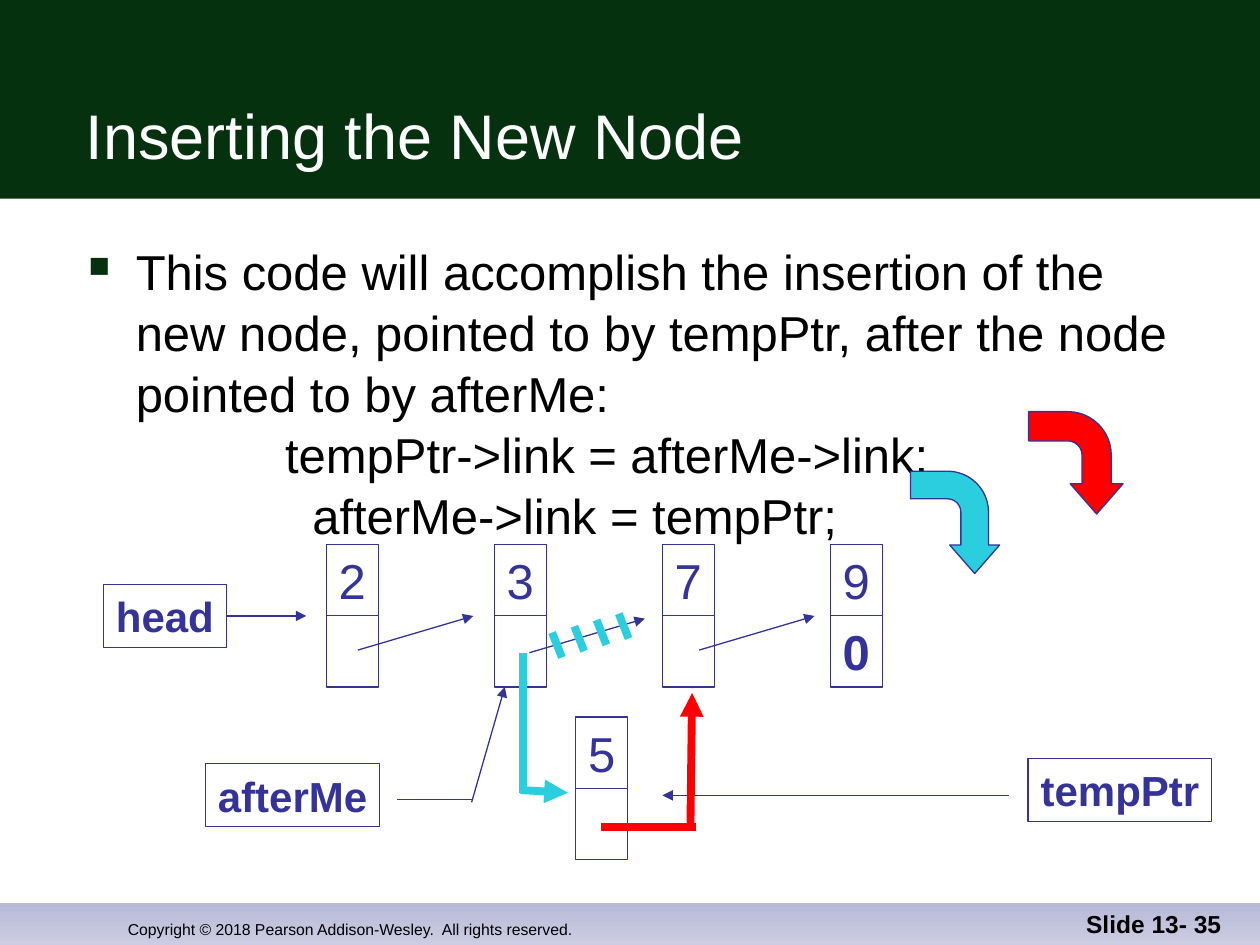
from lxml import etree
from pptx import Presentation
from pptx.dml.color import RGBColor
from pptx.enum.shapes import MSO_CONNECTOR, MSO_SHAPE
from pptx.enum.text import MSO_ANCHOR, PP_ALIGN
from pptx.oxml.ns import qn
from pptx.util import Pt

RECT, BENT_ARROW = MSO_SHAPE.RECTANGLE, MSO_SHAPE.BENT_ARROW
STRAIGHT = MSO_CONNECTOR.STRAIGHT
TOP, MIDDLE, BOTTOM = MSO_ANCHOR.TOP, MSO_ANCHOR.MIDDLE, MSO_ANCHOR.BOTTOM
LEFT, CENTER, RIGHT = PP_ALIGN.LEFT, PP_ALIGN.CENTER, PP_ALIGN.RIGHT

COLORS = {
    name: RGBColor.from_string(value)
    for name, value in {
        "banner": "05310F", "footer_top": "B7B9D7", "footer_bottom": "CCCDE3",
        "ink": "333399", "red": "FF0000", "cyan": "2BCEDF",
        "white": "FFFFFF", "black": "000000",
    }.items()
}

prs = Presentation()
prs.slide_width, prs.slide_height = Pt(720), Pt(540)
slide = prs.slides.add_slide(prs.slide_layouts[6])
shapes = slide.shapes


def put_text(shape, text, size, color, bold=False, align=LEFT, anchor=MIDDLE, wrap=True):
    frame = shape.text_frame
    frame.word_wrap = wrap
    frame.vertical_anchor = anchor
    paragraph = frame.paragraphs[0]
    paragraph.text = text
    paragraph.alignment = align
    font = paragraph.font
    font.name, font.size, font.bold = "Arial", Pt(size), bold
    font.color.rgb = COLORS[color]
    return paragraph


def draw_line(x1, y1, x2, y2, color="ink", width=0.75, arrow=False):
    line = shapes.add_connector(STRAIGHT, Pt(x1), Pt(y1), Pt(x2), Pt(y2))
    line.line.color.rgb = COLORS[color]
    line.line.width = Pt(width)
    if arrow:
        etree.SubElement(line.line._get_or_add_ln(), qn("a:tailEnd"), type="triangle")
    etree.SubElement(line._element.spPr, qn("a:effectLst"))
    return line


# Footer strip and title banner
footer = shapes.add_shape(RECT, 0, Pt(516), Pt(720), Pt(24))
footer.fill.gradient()
footer.fill.gradient_angle = 270
for stop, name in zip(footer.fill.gradient_stops, ("footer_top", "footer_bottom")):
    stop.color.rgb = COLORS[name]
banner = shapes.add_shape(RECT, 0, 0, Pt(720), Pt(113.5))
banner.fill.solid()
banner.fill.fore_color.rgb = COLORS["banner"]
for strip in (footer, banner):
    strip.line.fill.background()
    strip.shadow.inherit = False

copyright_box = shapes.add_textbox(Pt(66), Pt(504), Pt(354), Pt(36))
put_text(copyright_box, "Copyright © 2018 Pearson Addison-Wesley.  All rights reserved.",
         9, "black", anchor=BOTTOM)
number_box = shapes.add_textbox(Pt(555), Pt(504), Pt(150), Pt(36))
put_text(number_box, "Slide 13- 35", 14, "black", bold=True, align=RIGHT, anchor=BOTTOM)
title = shapes.add_textbox(Pt(42), Pt(24), Pt(654), Pt(78))
put_text(title, "Inserting the New Node", 36, "white", anchor=BOTTOM)

# Explanation with the two statements
body = shapes.add_textbox(Pt(43.5), Pt(133), Pt(653), Pt(360))
body.text_frame.margin_right = 0
explanation = put_text(
    body,
    "This code will accomplish the insertion of the\n"
    "new node, pointed to by tempPtr, after the node\n"
    "pointed to by afterMe:\n"
    "           tempPtr->link = afterMe->link;\n"
    "             afterMe->link = tempPtr;",
    28, "black", anchor=TOP)
explanation.line_spacing = 1.04
props = explanation._p.get_or_add_pPr()
props.set("marL", str(Pt(27)))
props.set("indent", str(Pt(-27)))
bullet_color = etree.Element(qn("a:buClr"))
etree.SubElement(bullet_color, qn("a:srgbClr"), val=str(COLORS["banner"]))
bullet_size = etree.Element(qn("a:buSzPct"), val="60000")
bullet_char = etree.Element(qn("a:buChar"), char="■")
first_after = props.find(qn("a:defRPr"))
for element in (bullet_color, bullet_size, bullet_char):
    first_after.addprevious(element)

# Boxes: pointer labels, then nodes with a data cell above a link cell
CELL_W, CELL_H = 29.7, 40.8
boxes = [
    ("head", 59, 334, 70.5, 36, 24, True),
    ("afterMe", 117.5, 436.5, 99.5, 36, 24, True),
    ("tempPtr", 587.5, 433.5, 105, 36, 24, True),
]
nodes = [(data, 186.5 + 96 * i, 311) for i, data in enumerate("2379")]
nodes.append(("5", 329, 409.7))
for data, x, y in nodes:
    link = "0" if data == "9" else ""
    boxes.append((data, x, y, CELL_W, CELL_H, 28, False))
    boxes.append((link, x, y + CELL_H, CELL_W, CELL_H, 28, True))

drawn = {}
for text, x, y, width, height, size, bold in boxes:
    box = shapes.add_shape(RECT, Pt(x), Pt(y), Pt(width), Pt(height))
    box.fill.background()
    box.line.color.rgb = COLORS["ink"]
    box.line.width = Pt(0.75)
    box.shadow.inherit = False
    if text:
        put_text(box, text, size, "ink", bold=bold, align=CENTER, wrap=False)
    drawn[text] = box

# Links between the nodes and arrows from the labels
for x, y in ((204.5, 371.5), (302.5, 373), (399.5, 371.5)):
    draw_line(x, y, x + 66, y - 19.5, arrow=True)
draw_line(227, 457, 269.5, 457)
draw_line(269.5, 458.5, 288.5, 392.5, arrow=True)
draw_line(576.5, 454.5, 378.5, 454.5, arrow=True)
head_arrow = draw_line(129.5, 352, 175, 352, arrow=True)
head_arrow.begin_connect(drawn["head"], 3)

# Bent arrows matching each statement to its new link
for color, x, y, width, height in (
    ("red", 585.5, 237.5, 58.5, 54),
    ("cyan", 516.5, 273, 58.5, 51),
):
    bend = shapes.add_shape(BENT_ARROW, Pt(x), Pt(y), Pt(width), Pt(height))
    bend.rotation = 90
    for i, value in enumerate((0.31, 0.28, 0.32, 0.46)):
        bend.adjustments[i] = value
    bend.fill.solid()
    bend.fill.fore_color.rgb = COLORS[color]
    bend.line.color.rgb = COLORS["ink"]
    bend.line.width = Pt(0.75)
    bend.shadow.inherit = False

# New links, and strokes crossing out the old one
draw_line(394.5, 474.5, 395.5, 396, "red", 4.5, arrow=True)
draw_line(297.5, 451.5, 324.5, 453, "cyan", 4.5, arrow=True)
draw_line(299, 373, 299, 453, "cyan", 4.5)
draw_line(343.5, 472.5, 397.5, 472.5, "red", 4.5)
for i in range(4):
    x, y = 315.5 + 12.7 * i, 361.5 - 3.6 * i
    draw_line(x, y, x + 5.6, y + 14.2, "cyan", 4.5)

prs.save("out.pptx")
